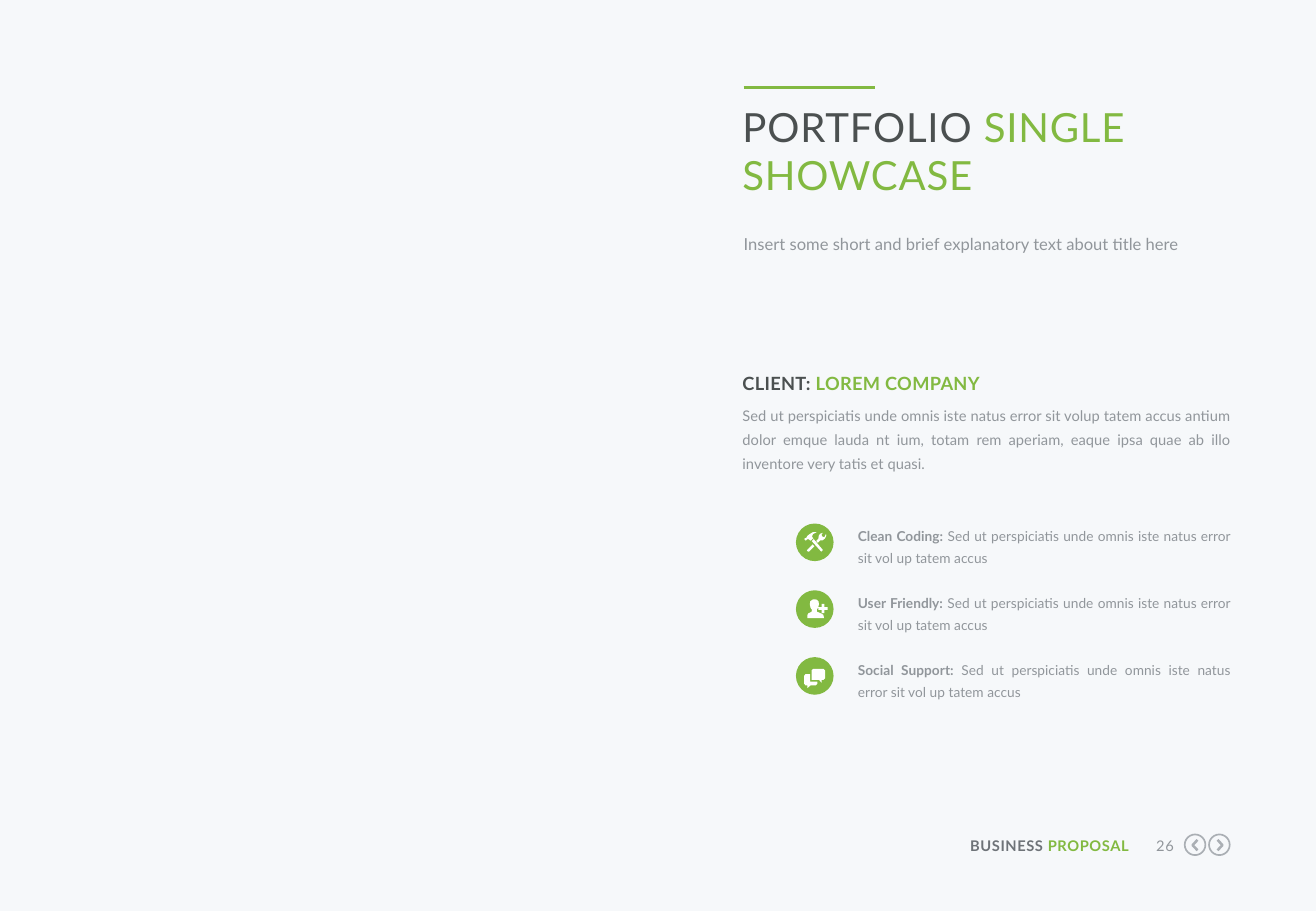
from pptx import Presentation
from pptx import util as u
from pptx.dml.color import RGBColor
from pptx.enum import shapes, text
from pptx.oxml.ns import qn
from lxml import etree

COLORS = {
    "background": "F6F8FA",
    "green": "82B941",
    "dark": "4B5050",
    "footer": "6E7378",
    "gray": "91969B",
    "arrow": "AAAFB4",
    "white": "FFFFFF",
}

# Icon outlines in thousandths of an inch from the disc's top left
TOOLS = [
    [(90, 132), (103, 128), (120, 142), (143, 122), (132, 108), (140, 88), (170, 72),
     (142, 70), (112, 88), (92, 104), (88, 116), (70, 124), (70, 131), (82, 142)],
    [(130, 145), (147, 129), (222, 218), (209, 232)],
    [(248, 86), (236, 110), (222, 112), (210, 94), (222, 77), (198, 85), (188, 102),
     (185, 125), (168, 144), (180, 159), (200, 140), (222, 138), (240, 122), (250, 102)],
    [(90, 222), (138, 172), (152, 188), (109, 231), (100, 232)],
]
USER = [
    [(94, 230), (94, 205), (103, 190), (130, 177), (132, 160), (121, 145), (115, 118),
     (118, 93), (133, 78), (153, 74), (173, 78), (187, 93), (190, 118), (182, 145),
     (172, 160), (174, 177), (202, 188), (226, 202), (232, 230)],
    [(185, 140), (212, 140), (212, 113), (234, 113), (234, 140), (261, 140), (261, 162),
     (234, 162), (234, 189), (212, 189), (212, 162), (185, 162)],
]
CHAT = [
    [(117, 140), (117, 202), (178, 202), (178, 220), (165, 232), (122, 232), (94, 256),
     (94, 232), (79, 232), (69, 220), (69, 153), (79, 140)],
    [(143, 97), (228, 97), (240, 109), (240, 175), (228, 187), (212, 187), (212, 211),
     (190, 187), (129, 187), (129, 109)],
]


class SlideBuilder:
    def __init__(self, slide, font="Lato"):
        self.slide = slide
        self.font = font
        slide.background.fill.solid()
        slide.background.fill.fore_color.rgb = self.color("background")

    def color(self, name):
        return RGBColor.from_string(COLORS[name])

    def style(self, shape, fill=None, line=None, width=1):
        shape.shadow.inherit = False
        if fill:
            shape.fill.solid()
            shape.fill.fore_color.rgb = self.color(fill)
        else:
            shape.fill.background()
        if line:
            shape.line.color.rgb = self.color(line)
            shape.line.width = u.Pt(width)
        else:
            shape.line.fill.background()

    def rule(self, left, top, length, color, width):
        line = self.slide.shapes.add_connector(
            shapes.MSO_CONNECTOR.STRAIGHT, u.Inches(left), u.Inches(top),
            u.Inches(left + length), u.Inches(top))
        line.line.color.rgb = self.color(color)
        line.line.width = u.Pt(width)
        etree.SubElement(line._element.spPr, qn("a:effectLst"))

    def text(self, left, top, width, height, size, runs, align="LEFT",
             spacing=None, after=0, tracking=0):
        """Each run is (wording, color, bold)."""
        box = self.slide.shapes.add_textbox(
            u.Inches(left), u.Inches(top), u.Inches(width), u.Inches(height))
        frame = box.text_frame
        frame.word_wrap = True
        frame.margin_left = frame.margin_right = 0
        frame.margin_top = frame.margin_bottom = 0
        paragraph = frame.paragraphs[0]
        paragraph.alignment = getattr(text.PP_ALIGN, align)
        paragraph.space_after = u.Pt(after)
        if spacing:
            paragraph.line_spacing = u.Pt(spacing)
        paragraph.font.name = self.font
        paragraph.font.size = u.Pt(size)
        for wording, color, bold in runs:
            run = paragraph.add_run()
            run.text = wording
            run.font.bold = bold
            run.font.color.rgb = self.color(color)
            if tracking:
                run._r.get_or_add_rPr().set("spc", str(round(tracking * 100)))

    def circle(self, left, top, size, **style):
        shape = self.slide.shapes.add_shape(
            shapes.MSO_SHAPE.OVAL, u.Inches(left), u.Inches(top),
            u.Inches(size), u.Inches(size))
        self.style(shape, **style)

    def outline(self, left, top, contours, close=True, **style):
        builder = self.slide.shapes.build_freeform(*contours[0][0], scale=u.Inches(1) / 1000)
        for index, points in enumerate(contours):
            if index:
                builder.move_to(*points[0])
            builder.add_line_segments(points[1:], close=close)
        shape = builder.convert_to_shape(u.Inches(left), u.Inches(top))
        self.style(shape, **style)


def main():
    presentation = Presentation()
    presentation.slide_width = u.Inches(10.83)
    presentation.slide_height = u.Inches(7.5)
    page = SlideBuilder(presentation.slides.add_slide(presentation.slide_layouts[6]))

    # Heading
    page.rule(6.12, 0.72, 1.08, "green", 2.25)
    page.text(6.11, 0.84, 4.02, 0.92, 23.8,
              [("PORTFOLIO ", "dark", False), ("SINGLE SHOWCASE", "green", False)],
              tracking=0.5)
    page.text(6.12, 1.91, 4.02, 0.21, 9.8,
              [("Insert some short and brief explanatory text about title here", "gray", False)],
              spacing=13)

    # Client
    page.text(6.11, 2.99, 4.02, 0.25, 10.8,
              [("CLIENT: ", "dark", True), ("LOREM COMPANY", "green", True)],
              spacing=18.4, after=6.5, tracking=0.2)
    page.text(6.11, 3.3, 4.02, 0.59, 8.7,
              [("Sed ut perspiciatis unde omnis iste natus error sit volup tatem accus antium "
                "dolor emque lauda nt ium, totam rem aperiam, eaque ipsa quae ab illo "
                "inventore very tatis et quasi.", "gray", False)],
              align="JUSTIFY", spacing=14.1, after=6.5)

    # Features
    features = [("Clean Coding:", TOOLS), ("User Friendly:", USER), ("Social Support:", CHAT)]
    for row, (title, icon) in enumerate(features):
        top = 4.31 + 0.55 * row
        page.circle(6.55, top, 0.31, fill="green")
        page.outline(6.55, top, icon, fill="white")
        page.text(7.06, top - 0.01, 3.07, 0.36, 8.1,
                  [(title, "gray", True),
                   (" Sed ut perspiciatis unde omnis iste natus error sit vol up tatem accus",
                    "gray", False)],
                  align="JUSTIFY", spacing=13, after=6.5)

    # Footer
    page.text(7.92, 6.89, 1.37, 0.15, 8.7,
              [("BUSINESS ", "footer", True), ("PROPOSAL", "green", True)],
              align="RIGHT", tracking=0.3)
    page.text(9.41, 6.89, 0.25, 0.15, 8.7, [("26", "gray", False)],
              align="RIGHT", tracking=0.3)
    for left, base, tip in [(9.75, 105, 65), (9.95, 70, 110)]:
        page.circle(left, 6.87, 0.17, line="arrow")
        page.outline(left, 6.87, [[(base, 45), (tip, 88), (base, 131)]],
                     close=False, line="arrow", width=1.5)

    presentation.save("out.pptx")


if __name__ == "__main__":
    main()
